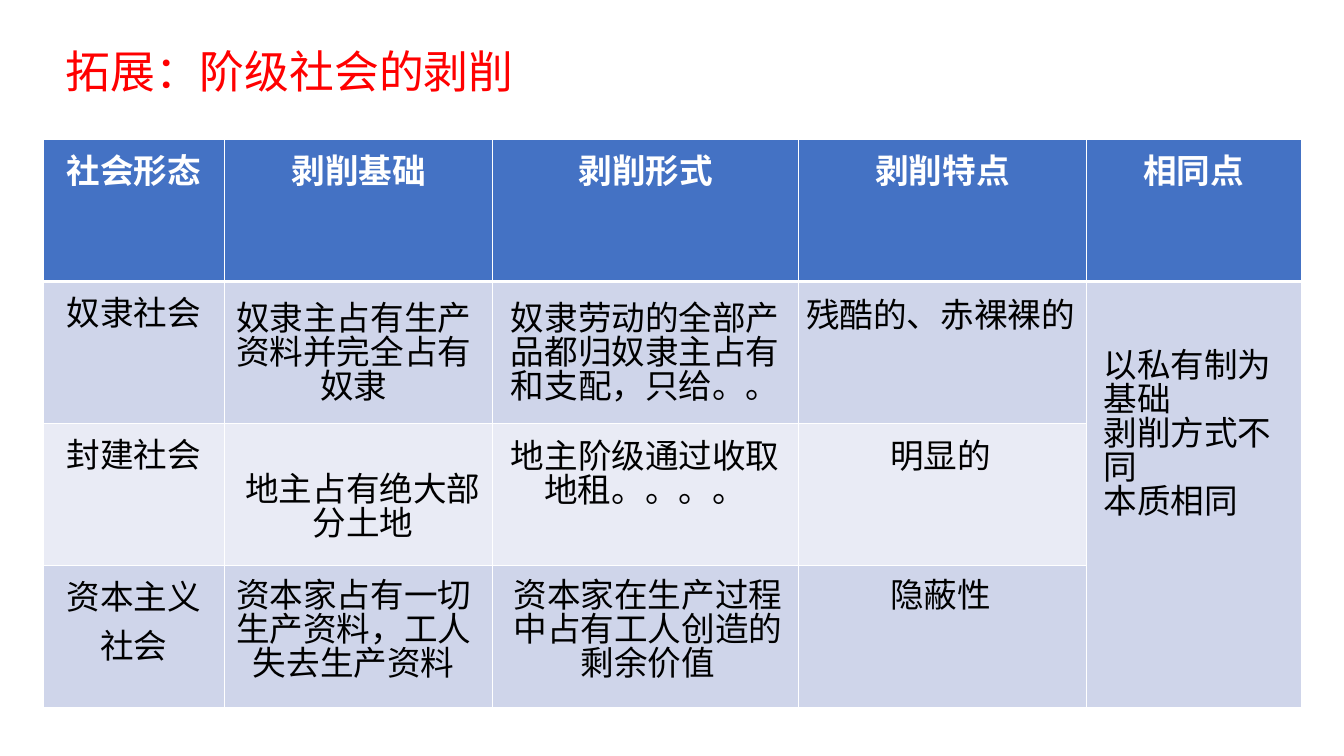
from lxml.etree import SubElement
from pptx import Presentation
from pptx.dml.color import RGBColor
from pptx.enum.text import MSO_AUTO_SIZE as AutoSize, PP_ALIGN as Align
from pptx.oxml.ns import qn
from pptx.util import Cm, Pt

FONT = "Noto Sans CJK SC"
BLACK, WHITE, RED, BLUE = "000000", "FFFFFF", "FF0000", "4472C4"
BANDS = ["CFD5EA", "E9EBF5"]
TIGHT = 0.84

TITLE = "拓展：阶级社会的剥削"
HEADINGS = ["社会形态", "剥削基础", "剥削形式", "剥削特点", "相同点"]
SOCIETIES = ["奴隶社会", "封建社会", "资本主义社会"]
COMMON = ["以私有制为基础", "剥削方式不同", "本质相同"]

# Each aspect: width, then (text, left, top, lines) per society, in cm
ASPECTS = [
    (7.11, [("奴隶主占有生产资料并完全占有奴隶", 5.36, 7.52, 3),
            ("地主占有绝大部分土地", 5.59, 11.84, 2),
            ("资本家占有一切生产资料，工人失去生产资料", 5.36, 14.5, 3)]),
    (8.08, [("奴隶劳动的全部产品都归奴隶主占有和支配，只给。。", 12.22, 7.52, 3),
            ("地主阶级通过收取地租。。。。", 12.22, 11, 2),
            ("资本家在生产过程中占有工人创造的剩余价值", 12.29, 14.5, 3)]),
    (8.08, [("残酷的、赤裸裸的", 19.66, 7.44, 1),
            ("明显的", 19.66, 11, 1),
            ("隐蔽性", 19.66, 14.5, 1)]),
]
COLUMN_WIDTHS = [4.57, 6.76, 7.7, 7.26, 5.41]
ROW_HEIGHT = 3.58
LINE_HEIGHT, PADDING = 1.02, 0.25


def rgb(code):
    """Turn a hex string into a colour."""
    return RGBColor.from_string(code)


def write(frame, lines, color=BLACK, size=24, bold=False, align=Align.CENTER, spacing=None):
    """Write one formatted paragraph per line."""
    for index, line in enumerate(lines):
        paragraph = frame.add_paragraph() if index else frame.paragraphs[0]
        paragraph.alignment = align
        if spacing:
            paragraph.line_spacing = spacing
        run = paragraph.add_run()
        run.text = line
        for name, value in {"name": FONT, "size": Pt(size), "bold": bold}.items():
            setattr(run.font, name, value)
        run.font.color.rgb = rgb(color)
        SubElement(run.font._element, qn("a:ea"), typeface=FONT)


def add_text(left, top, width, height, lines, **style):
    """Add a wrapping text box that grows with its text."""
    box = slide.shapes.add_textbox(Cm(left), Cm(top), Cm(width), Cm(height))
    for name, value in {"word_wrap": True, "auto_size": AutoSize.SHAPE_TO_FIT_TEXT}.items():
        setattr(box.text_frame, name, value)
    write(box.text_frame, lines, spacing=TIGHT, **style)


def paint(cell, color, top=1, bottom=1):
    """Give a cell white borders and a solid fill."""
    properties = cell._tc.get_or_add_tcPr()
    for side, points in {"L": 1, "R": 1, "T": top, "B": bottom}.items():
        border = SubElement(properties, qn(f"a:ln{side}"), w=str(Pt(points)))
        SubElement(SubElement(border, qn("a:solidFill")), qn("a:srgbClr"), val=WHITE)
    cell.fill.solid()
    cell.fill.fore_color.rgb = rgb(color)


presentation = Presentation()
presentation.slide_width, presentation.slide_height = Cm(33.87), Cm(19.05)
slide = presentation.slides.add_slide(presentation.slide_layouts[6])

row_count = len(SOCIETIES) + 1
comparison = slide.shapes.add_table(
    row_count, len(HEADINGS), Cm(1.09), Cm(3.51),
    Cm(sum(COLUMN_WIDTHS)), Cm(ROW_HEIGHT * row_count)).table
for column, width in zip(comparison.columns, COLUMN_WIDTHS):
    column.width = Cm(width)
for row in comparison.rows:
    row.height = Cm(ROW_HEIGHT)

for index, heading in enumerate(HEADINGS):
    cell = comparison.cell(0, index)
    paint(cell, BLUE, bottom=3)
    write(cell.text_frame, [heading], WHITE, bold=True)
for number, society in enumerate(SOCIETIES, 1):
    for index in range(len(HEADINGS)):
        paint(comparison.cell(number, index), BANDS[(number - 1) % 2], top=3 if number == 1 else 1)
    write(comparison.cell(number, 0).text_frame, [society])
last = len(HEADINGS) - 1
comparison.cell(1, last).merge(comparison.cell(row_count - 1, last))

for width, notes in ASPECTS:
    for text, left, top, lines in notes:
        add_text(left, top, width, PADDING + LINE_HEIGHT * lines, [text])
add_text(27.56, 8.71, 5.23, 5.38, COMMON, align=Align.LEFT)
add_text(1.4, 1.19, 31.14, 1.63, [TITLE], color=RED, size=32, align=Align.LEFT)

presentation.save("out.pptx")
